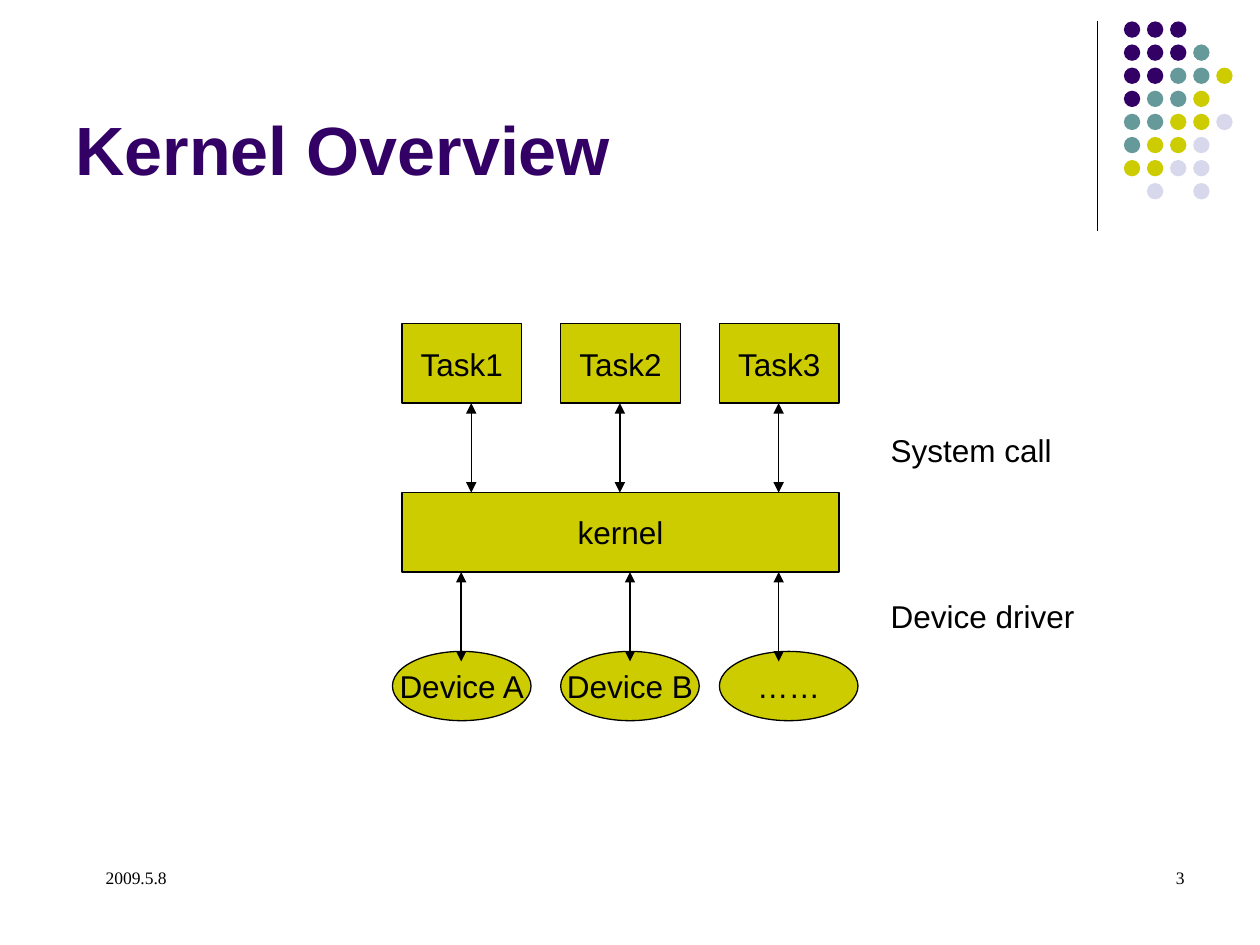
from typing import NamedTuple

from lxml.etree import SubElement
from pptx import Presentation
from pptx.dml.color import RGBColor
from pptx.enum.shapes import MSO_CONNECTOR as Connector, MSO_SHAPE as Shape
from pptx.enum.text import MSO_ANCHOR as Anchor, PP_ALIGN as Align
from pptx.oxml.ns import qn
from pptx.util import Inches, Pt

BLACK, PURPLE, TEAL, OLIVE, LILAC = "000000", "330066", "669999", "CCCC00", "D8D8EC"

# Corner ornament: one letter per dot
DOT_COLOURS = {"P": PURPLE, "T": TEAL, "O": OLIVE, "L": LILAC}
DOT_ROWS = ("PPP", "PPPT", "PPTTO", "PTTO", "TTOOL", "TOOL", "OOLL", " L L")
DOT_LEFT, DOT_TOP, DOT_SIZE, DOT_PITCH = 8.92, 0.17, 0.13, 0.18333

# Diagram grid, in inches
LEFT, COLUMN_PITCH = 3.19, 1.26
TASK_WIDTH, BOX_HEIGHT = 0.95, 0.63
DEVICE_WIDTH, DEVICE_HEIGHT = 1.1, 0.55
TASK_TOP, KERNEL_TOP, DEVICE_TOP = 2.57, 3.91, 5.17
ARROW_LENGTH = KERNEL_TOP - TASK_TOP - BOX_HEIGHT
COLUMNS = [LEFT + column * COLUMN_PITCH for column in range(3)]


class Node(NamedTuple):
    label: str
    kind: Shape
    left: float
    top: float
    width: float
    height: float


class Label(NamedTuple):
    text: str
    left: float
    top: float
    width: float
    height: float
    size: float = 18
    font: str = "Arial"
    colour: str = BLACK
    bold: bool = False
    wrap: bool = False
    anchor: Anchor = Anchor.TOP
    align: Align = Align.LEFT
    indent: float = 0


def rgb(colour: str) -> RGBColor:
    return RGBColor.from_string(colour)


def write(frame, label: Label) -> None:
    frame.text = label.text
    frame.word_wrap = label.wrap
    frame.vertical_anchor = label.anchor
    paragraph = frame.paragraphs[0]
    paragraph.alignment = label.align
    if label.indent:
        paragraph._p.get_or_add_pPr().set("marL", str(Inches(label.indent)))
    font = paragraph.runs[0].font
    font.name, font.size, font.bold = label.font, Pt(label.size), label.bold
    font.color.rgb = rgb(label.colour)


def draw_label(slide, label: Label) -> None:
    box = slide.shapes.add_textbox(*map(Inches, label[1:5]))
    write(box.text_frame, label)


def draw_shape(slide, kind: Shape, place: tuple, fill: str):
    shape = slide.shapes.add_shape(kind, *map(Inches, place))
    shape.shadow.inherit = False
    shape.fill.solid()
    shape.fill.fore_color.rgb = rgb(fill)
    shape.line.fill.background()
    return shape


def draw_node(slide, node: Node) -> None:
    place = node[2:]
    shape = draw_shape(slide, node.kind, place, OLIVE)
    shape.line.color.rgb = rgb(BLACK)
    shape.line.width = Pt(0.75)
    write(shape.text_frame,
          Label(node.label, *place, anchor=Anchor.MIDDLE, align=Align.CENTER))


def draw_vertical(slide, x: float, top: float, length: float, arrows: bool = False) -> None:
    line = slide.shapes.add_connector(
        Connector.STRAIGHT, *map(Inches, (x, top, x, top + length)))
    line.line.color.rgb = rgb(BLACK)
    line.line.width = Pt(0.75)
    if arrows:
        outline = line.line._get_or_add_ln()
        for end in ("a:headEnd", "a:tailEnd"):
            SubElement(outline, qn(end), type="triangle")
    SubElement(line._element.spPr, qn("a:effectLst"))


def draw_ornament(slide) -> None:
    draw_vertical(slide, 8.71, DOT_TOP, 1.66)
    for row, letters in enumerate(DOT_ROWS):
        for column, letter in enumerate(letters):
            if letter in DOT_COLOURS:
                place = (DOT_LEFT + column * DOT_PITCH, DOT_TOP + row * DOT_PITCH,
                         DOT_SIZE, DOT_SIZE)
                draw_shape(slide, Shape.OVAL, place, DOT_COLOURS[letter])


def draw_diagram(slide) -> None:
    # Tasks, kernel and devices; the first device is centred under its task
    tasks = [Node(f"Task{number}", Shape.RECTANGLE, x, TASK_TOP, TASK_WIDTH, BOX_HEIGHT)
             for number, x in enumerate(COLUMNS, 1)]
    kernel_width = COLUMNS[-1] + TASK_WIDTH - LEFT
    kernel = Node("kernel", Shape.RECTANGLE, LEFT, KERNEL_TOP, kernel_width, BOX_HEIGHT)
    device_lefts = [LEFT - (DEVICE_WIDTH - TASK_WIDTH) / 2, *COLUMNS[1:]]
    devices = [Node(name, Shape.OVAL, x, DEVICE_TOP, DEVICE_WIDTH, DEVICE_HEIGHT)
               for name, x in zip(("Device A", "Device B", "……"), device_lefts)]
    for node in (*tasks, kernel, *devices):
        draw_node(slide, node)

    # Two-way arrows above and below the kernel
    for top, arrow_xs in ((TASK_TOP + BOX_HEIGHT, (3.74, 4.92, 6.18)),
                          (KERNEL_TOP + BOX_HEIGHT, (3.66, 5, 6.18))):
        for x in arrow_xs:
            draw_vertical(slide, x, top, ARROW_LENGTH, arrows=True)


def main() -> None:
    deck = Presentation()
    deck.slide_width, deck.slide_height = Inches(10), Inches(7.5)
    slide = deck.slides.add_slide(deck.slide_layouts[6])

    draw_ornament(slide)
    draw_label(slide, Label("Kernel Overview", 0.5, 0.13, 8.25, 1.42, size=39,
                            colour=PURPLE, bold=True, wrap=True, anchor=Anchor.BOTTOM))
    draw_diagram(slide)

    # Interface names beside the arrows
    draw_label(slide, Label("System call", 6.97, 3.37, 1.48, 0.4))
    draw_label(slide, Label("Device driver", 6.97, 4.69, 1.66, 0.4))

    # Footer: page number and date
    for text, left, align in (("3", 7.17, Align.RIGHT), ("2009.5.8", 0.5, Align.LEFT)):
        draw_label(slide, Label(text, left, 6.83, 2.33, 0.5, size=10, wrap=True,
                                font="Times New Roman", align=align, indent=0.24))

    deck.save("out.pptx")


if __name__ == "__main__":
    main()
